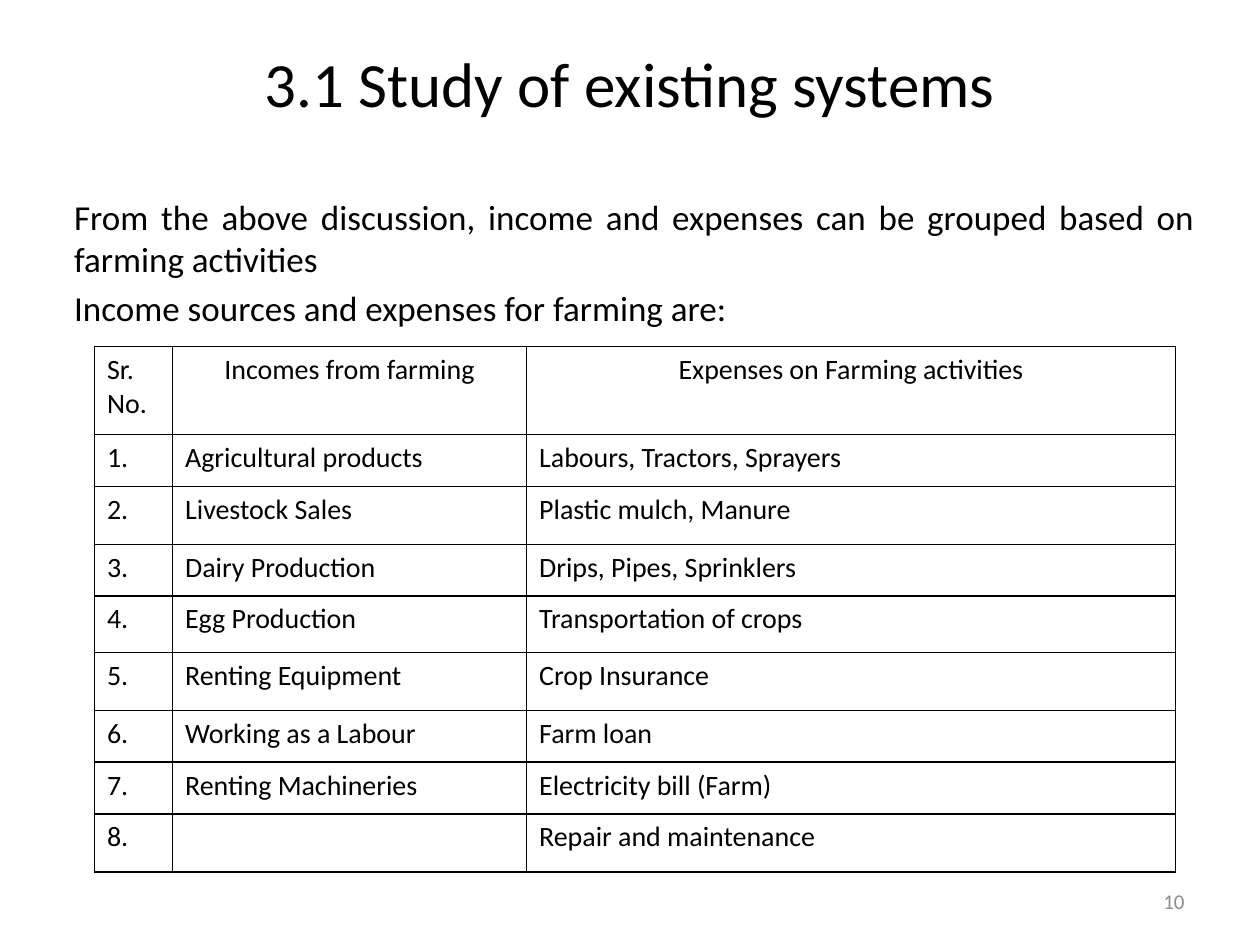
from lxml.etree import SubElement
from pptx import Presentation
from pptx.dml.color import RGBColor
from pptx.enum.text import MSO_ANCHOR as Anchor, PP_ALIGN as Align
from pptx.oxml.ns import qn
from pptx.util import Inches, Pt

BLACK = RGBColor(0x00, 0x00, 0x00)
GRAY = RGBColor(0x8C, 0x8C, 0x8C)
WHITE = RGBColor(0xFF, 0xFF, 0xFF)
FONT = "Calibri"

INTRO = [
    "From the above discussion, income and expenses can be grouped based on farming activities",
    "Income sources and expenses for farming are:",
]
HEADERS = ["Sr. No.", "Incomes from farming", "Expenses on Farming activities"]
ENTRIES = [
    ("Agricultural products", "Labours, Tractors, Sprayers"),
    ("Livestock Sales", "Plastic mulch, Manure"),
    ("Dairy Production", "Drips, Pipes, Sprinklers"),
    ("Egg Production", "Transportation of crops"),
    ("Renting Equipment", "Crop Insurance"),
    ("Working as a Labour", "Farm loan"),
    ("Renting Machineries", "Electricity bill (Farm)"),
    ("", "Repair and maintenance"),
]
COLUMN_WIDTHS = [0.62, 2.81, 5.15]
ROW_HEIGHTS = [0.7, 0.41, 0.46, 0.41, 0.45, 0.46, 0.41, 0.41, 0.46]


def fill_white(shape):
    shape.fill.solid()
    shape.fill.fore_color.rgb = WHITE


def format_paragraph(paragraph, size, color=BLACK, align=Align.LEFT):
    paragraph.alignment = align
    for run in paragraph.runs:
        run.font.name = FONT
        run.font.size = Pt(size)
        run.font.bold = False
        run.font.color.rgb = color


def add_title(slide, text):
    title = slide.shapes.title
    title.left, title.top = Inches(0.5), Inches(0.3)
    title.width, title.height = Inches(9), Inches(0.7)
    fill_white(title)
    title.text_frame.text = text
    title.text_frame.vertical_anchor = Anchor.MIDDLE
    format_paragraph(title.text_frame.paragraphs[0], 36, align=Align.CENTER)


def add_text(slide, box, lines, size, color, align, anchor=Anchor.TOP, space_before=0):
    text_box = slide.shapes.add_textbox(*(Inches(length) for length in box))
    text_frame = text_box.text_frame
    text_frame.word_wrap = True
    text_frame.vertical_anchor = anchor
    text_frame.text = "\n".join(lines)
    for paragraph in text_frame.paragraphs:
        paragraph.space_before = Pt(space_before)
        format_paragraph(paragraph, size, color, align)
    return text_box


def add_borders(cell):
    properties = cell._tc.get_or_add_tcPr()
    for side in ("a:lnL", "a:lnR", "a:lnT", "a:lnB"):
        line = SubElement(properties, qn(side), w=str(Pt(1)))
        fill = SubElement(line, qn("a:solidFill"))
        SubElement(fill, qn("a:srgbClr"), val=str(BLACK))


def add_farming_table(slide):
    rows = [HEADERS] + [
        (f"{number}.", income, expense)
        for number, (income, expense) in enumerate(ENTRIES, start=1)
    ]
    table = slide.shapes.add_table(
        len(rows), len(HEADERS), Inches(0.75), Inches(2.75),
        Inches(sum(COLUMN_WIDTHS)), Inches(sum(ROW_HEIGHTS)),
    ).table
    table.first_row = False
    table.horz_banding = False
    for column, width in zip(table.columns, COLUMN_WIDTHS):
        column.width = Inches(width)
    for row, height in zip(table.rows, ROW_HEIGHTS):
        row.height = Inches(height)

    for row_index, texts in enumerate(rows):
        for column_index, text in enumerate(texts):
            cell = table.cell(row_index, column_index)
            add_borders(cell)
            cell.fill.background()
            cell.text_frame.text = text
            centered = row_index == 0 and column_index > 0
            format_paragraph(cell.text_frame.paragraphs[0], 16,
                             align=Align.CENTER if centered else Align.LEFT)


def main():
    presentation = Presentation()
    presentation.slide_width = Inches(10)
    presentation.slide_height = Inches(7.5)
    slide = presentation.slides.add_slide(presentation.slide_layouts[5])

    # Heading and introduction
    add_title(slide, "3.1 Study of existing systems")
    intro = add_text(slide, (0.49, 1.5, 9.09, 5.75), INTRO, 20, BLACK, Align.JUSTIFY,
                     space_before=4)
    fill_white(intro)

    # Incomes and expenses
    add_farming_table(slide)

    # Slide number
    add_text(slide, (7.17, 6.95, 2.33, 0.4), ["10"], 12, GRAY, Align.RIGHT, Anchor.MIDDLE)

    presentation.save("out.pptx")


if __name__ == "__main__":
    main()
